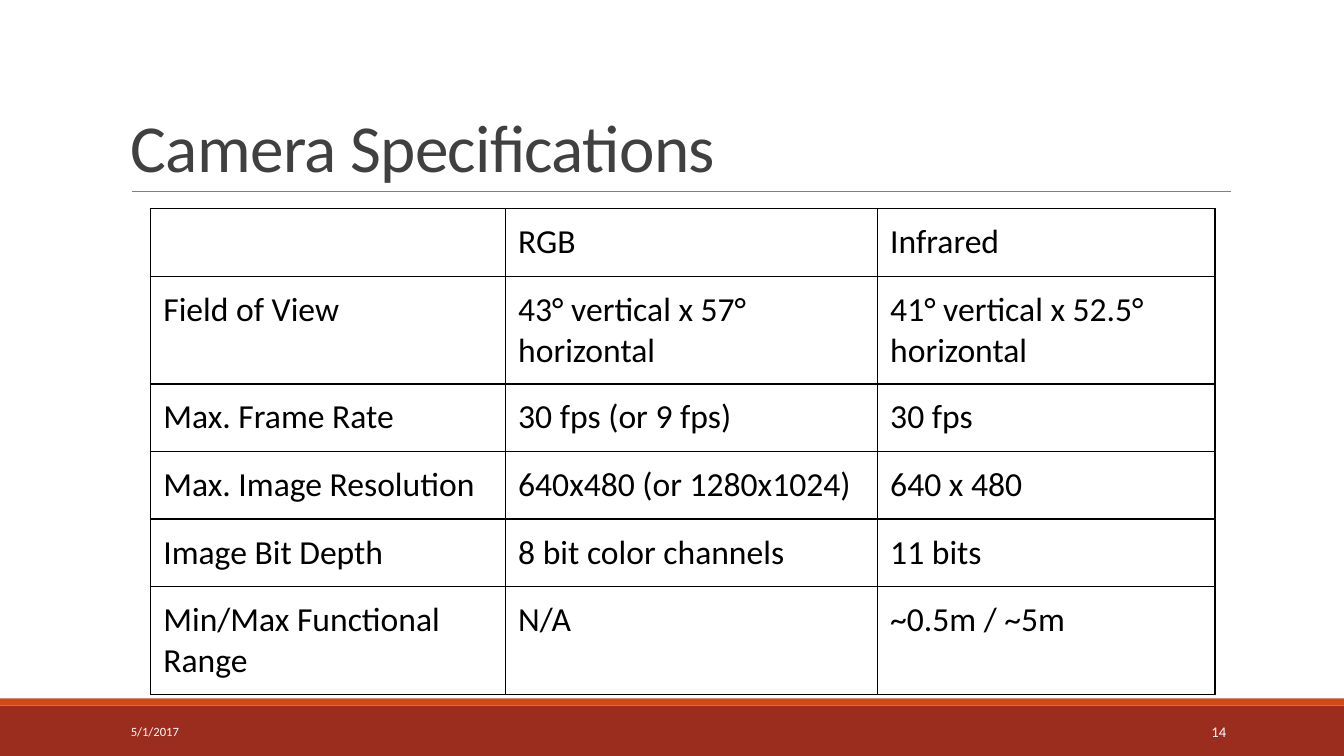
from lxml.etree import SubElement
from pptx import Presentation
from pptx.dml.color import RGBColor
from pptx.enum.shapes import MSO_CONNECTOR, MSO_SHAPE
from pptx.enum.text import MSO_ANCHOR as ANCHOR, PP_ALIGN as ALIGN
from pptx.oxml.ns import qn
from pptx.util import Pt

PX = 9144  # EMU in one px, 100 px to the inch
FONT = "Calibri"
COLORS = {
    "footer": "9B2D1F", "stripe": "D34817", "rule": "808080",
    "title": "404040", "text": "000000", "light": "FFFFFF",
}
COLUMN_WIDTHS = [352, 369, 335]
ROW_HEIGHTS = [67, 107, 67, 67, 67, 107]
SPECIFICATIONS = [
    ["", "RGB", "Infrared"],
    ["Field of View", "43° vertical x 57° horizontal", "41° vertical x 52.5° horizontal"],
    ["Max. Frame Rate", "30 fps (or 9 fps)", "30 fps"],
    ["Max. Image Resolution", "640x480 (or 1280x1024)", "640 x 480"],
    ["Image Bit Depth", "8 bit color channels", "11 bits"],
    ["Min/Max Functional Range", "N/A", "~0.5m / ~5m"],
]


def px(*lengths):
    return [length * PX for length in lengths]


def color(name):
    return RGBColor.from_string(COLORS[name])


def style_font(font, size, name):
    font.name = FONT
    font.size = Pt(size)
    font.color.rgb = color(name)


def add_text(slide, box, text, size, name, anchor=ANCHOR.MIDDLE, align=ALIGN.LEFT):
    text_frame = slide.shapes.add_textbox(*px(*box)).text_frame
    text_frame.word_wrap = True
    text_frame.vertical_anchor = anchor
    text_frame.text = text
    paragraph = text_frame.paragraphs[0]
    paragraph.alignment = align
    style_font(paragraph.runs[0].font, size, name)
    return paragraph


def add_bar(slide, box, name):
    bar = slide.shapes.add_shape(MSO_SHAPE.RECTANGLE, *px(*box))
    bar.shadow.inherit = False
    bar.fill.solid()
    bar.fill.fore_color.rgb = color(name)
    bar.line.fill.background()


def add_title(slide, left, top, width, height):
    paragraph = add_text(slide, (left, top, width, height), "Camera Specifications",
                         48, "title", ANCHOR.BOTTOM)
    paragraph.line_spacing = 0.85
    paragraph.runs[0]._r.get_or_add_rPr().set("spc", "-50")
    # Rule under the title
    bottom = top + height
    rule = slide.shapes.add_connector(
        MSO_CONNECTOR.STRAIGHT, *px(left + 11, bottom, left + 1101, bottom))
    rule.line.color.rgb = color("rule")
    rule.line.width = Pt(0.5)
    SubElement(rule._element.spPr, qn("a:effectLst"))


def add_borders(cell):
    properties = cell._tc.get_or_add_tcPr()
    for side in ("lnL", "lnR", "lnT", "lnB"):
        border = SubElement(properties, qn(f"a:{side}"), w=str(Pt(1)))
        fill = SubElement(border, qn("a:solidFill"))
        SubElement(fill, qn("a:srgbClr"), val=COLORS["text"])


def add_specifications(slide, left, top):
    box = px(left, top, sum(COLUMN_WIDTHS), sum(ROW_HEIGHTS))
    table = slide.shapes.add_table(len(ROW_HEIGHTS), len(COLUMN_WIDTHS), *box).table
    table.first_row = table.horz_banding = False
    for column, width in zip(table.columns, COLUMN_WIDTHS):
        column.width = width * PX
    for row, height, texts in zip(table.rows, ROW_HEIGHTS, SPECIFICATIONS):
        row.height = height * PX
        for cell, text in zip(row.cells, texts):
            cell.margin_left = cell.margin_right = 13 * PX
            cell.margin_top = cell.margin_bottom = 13 * PX
            add_borders(cell)
            cell.fill.background()
            cell.text_frame.text = text
            style_font(cell.text_frame.paragraphs[0].font, 24, "text")
            for run in cell.text_frame.paragraphs[0].runs:
                style_font(run.font, 24, "text")


def add_footer(slide, left, top, width, height):
    add_bar(slide, (left, top + 7, width, height - 7), "footer")
    add_bar(slide, (left, top, width, 7), "stripe")
    add_text(slide, (left + 120, top + 13, 270, 40), "5/1/2017", 9, "light")
    add_text(slide, (left + 1083, top + 13, 143, 40), "14", 10.5, "light",
             align=ALIGN.RIGHT)


def main():
    presentation = Presentation()
    presentation.slide_width, presentation.slide_height = px(1333, 750)
    slide = presentation.slides.add_slide(presentation.slide_layouts[6])
    add_footer(slide, 0, 693, 1333, 57)
    add_title(slide, 120, 31, 1100, 159)
    add_specifications(slide, 149, 207)
    presentation.save("out.pptx")


if __name__ == "__main__":
    main()
